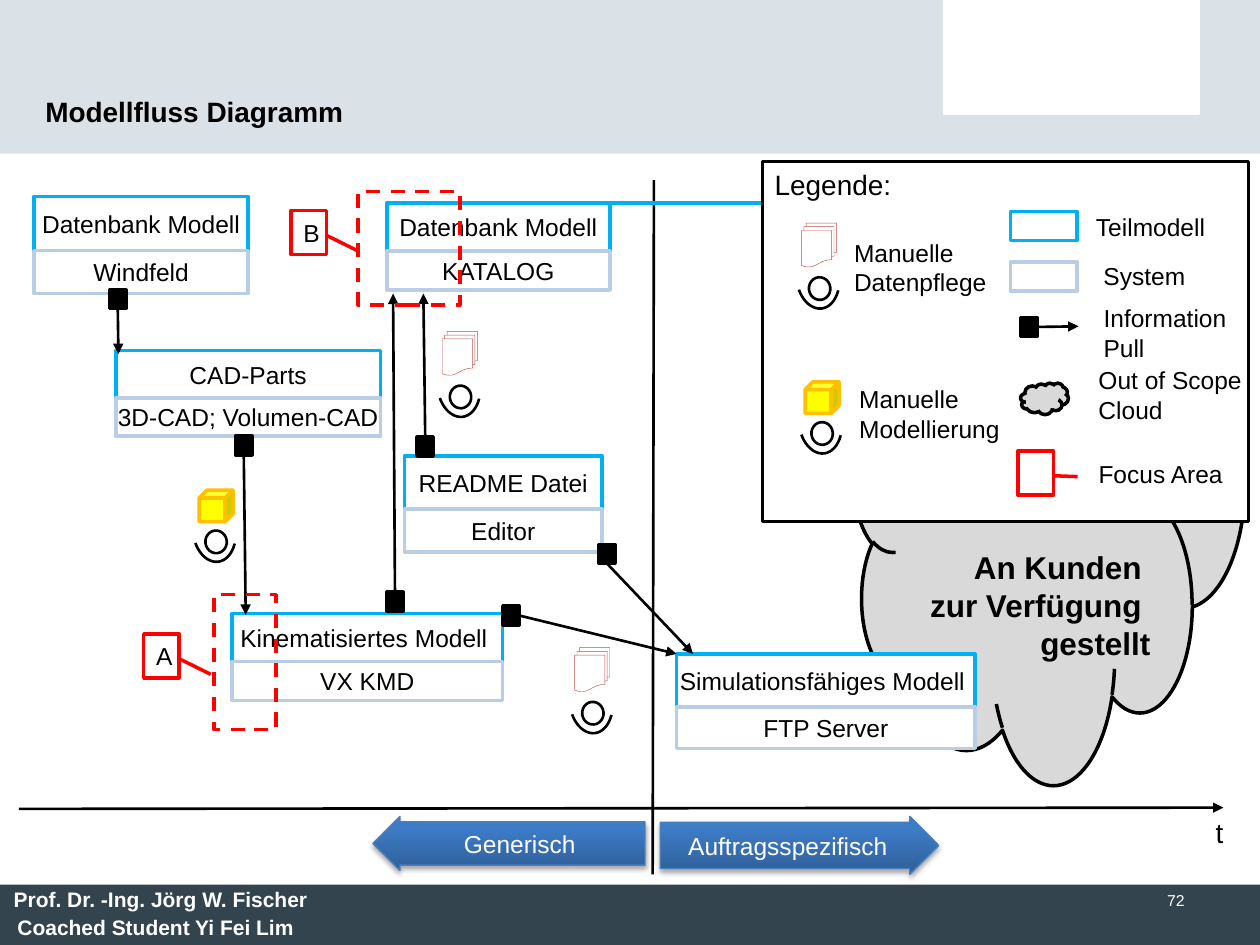
from lxml.etree import SubElement
from pptx import Presentation
from pptx.dml.color import RGBColor
from pptx.enum.dml import MSO_LINE
from pptx.enum.shapes import MSO_CONNECTOR, MSO_SHAPE as Form
from pptx.enum.text import MSO_ANCHOR as Anchor, MSO_AUTO_SIZE as AutoSize, PP_ALIGN as Align
from pptx.oxml.ns import qn
from pptx.util import Inches, Pt

BLACK, WHITE, GREY, RED = "000000", "FFFFFF", "D9D9D9", "FF0000"
MODEL_BLUE, SYSTEM_BLUE = "00B0F0", "B9CDE5"
TOP, BOTTOM, RIGHT = 0, 2, 3


def rgb(value):
    """Turn a hex string into a colour."""
    return RGBColor.from_string(value)


def write(shape, text, size=14, color=BLACK, bold=False, align=Align.LEFT, anchor=Anchor.MIDDLE, wrap=False):
    """Set and format the text of a shape."""
    frame = shape.text_frame
    frame.text = text
    frame.word_wrap = wrap
    frame.vertical_anchor = anchor
    for paragraph in frame.paragraphs:
        paragraph.alignment = align
        for run in paragraph.runs:
            run.font.name, run.font.size, run.font.bold = "Arial", Pt(size), bold
            run.font.color.rgb = rgb(color)


def draw(slide, form, x, y, w, h, fill=None, line=None, weight=2):
    """Add a flat preset shape."""
    shape = slide.shapes.add_shape(form, Inches(x), Inches(y), Inches(w), Inches(h))
    shape.shadow.inherit = False
    if fill:
        shape.fill.solid()
        shape.fill.fore_color.rgb = rgb(fill)
    else:
        shape.fill.background()
    if line:
        shape.line.color.rgb = rgb(line)
        shape.line.width = Pt(weight)
    else:
        shape.line.fill.background()
    return shape


def label(slide, x, y, w, h, text, **style):
    """Add a text box that fits its text."""
    box = slide.shapes.add_textbox(Inches(x), Inches(y), Inches(w), Inches(h))
    write(box, text, anchor=Anchor.TOP, **style)
    box.text_frame.auto_size = AutoSize.SHAPE_TO_FIT_TEXT
    return box


def connect(slide, start, end, color=BLACK, weight=1.5, arrow=True):
    """Add a straight line, with an arrowhead at its end if wanted."""
    points = [Inches(value) for value in (*start, *end)]
    connector = slide.shapes.add_connector(MSO_CONNECTOR.STRAIGHT, *points)
    connector.line.color.rgb = rgb(color)
    connector.line.width = Pt(weight)
    if arrow:
        SubElement(connector.line._get_or_add_ln(), qn("a:tailEnd"), type="triangle")
    SubElement(connector.element.spPr, qn("a:effectLst"))
    return connector


def model(slide, x, y, w, name_h, system_h, name, system):
    """Stack a partial model on the system that holds it."""
    rows = ((y, name_h, MODEL_BLUE, name), (y + name_h, system_h, SYSTEM_BLUE, system))
    for top, height, border, text in rows:
        write(draw(slide, Form.RECTANGLE, x, top, w, height, WHITE, border), text, align=Align.CENTER)


def pull(slide, x, y, side, end):
    """Draw an information pull from a black square to an end point."""
    square = draw(slide, Form.RECTANGLE, x, y, 0.13, 0.15, BLACK, BLACK)
    connect(slide, (x, y), end).begin_connect(square, side)


def worker(slide, x, y, modelling=False):
    """Draw a person seen from above with a cube or a pile of documents."""
    head = draw(slide, Form.OVAL, x + 0.1, y + 0.25, 0.17, 0.18, WHITE, BLACK, 1.5)
    arms = draw(slide, Form.ARC, x, y, 0.34, 0.5, None, BLACK, 1.5)
    arms.adjustments[0], arms.adjustments[1] = 131.96, 200.25
    head.rotation = arms.rotation = 172.8
    if modelling:
        draw(slide, Form.CUBE, x + 0.05, y - 0.07, 0.27, 0.25, "FFFF00", "FFC000")
    else:
        draw(slide, Form.FLOWCHART_MULTIDOCUMENT, x + 0.04, y - 0.18, 0.28, 0.35, WHITE, "C0504D", 0.25)


def focus(slide, x, y, letter="", tip=(0.92, 1.9)):
    """Draw a focus area marker with its leader line."""
    marker = draw(slide, Form.LINE_CALLOUT_1, x, y, 0.28, 0.35, WHITE, RED)
    for index, value in enumerate((0.56, 0.99, *tip)):
        marker.adjustments[index] = value
    if letter:
        write(marker, letter)


def phase(slide, form, x, y, w, h, text):
    """Draw a shaded block arrow for one phase."""
    arrow = draw(slide, form, x, y, w, h, None, "4B7EBC", 0.75)
    arrow.adjustments[0], arrow.adjustments[1] = 0.8, 0.5
    arrow.fill.gradient()
    arrow.fill.gradient_angle = 90
    for stop, color, position in zip(arrow.fill.gradient_stops, ("2F5F99", "3D7CC7"), (0, 0.8)):
        stop.color.rgb = rgb(color)
        stop.position = position
    effects = arrow.element.spPr.find(qn("a:effectLst"))
    shadow = SubElement(effects, qn("a:outerShdw"), blurRad=str(Pt(3.1)), dist=str(Pt(1.8)),
                        dir="5400000", rotWithShape="0")
    tint = SubElement(shadow, qn("a:srgbClr"), val=BLACK)
    SubElement(tint, qn("a:alpha"), val="35000")
    write(arrow, text, color=WHITE, align=Align.CENTER)


def header(slide, x, y, w, h):
    """Draw the top band with the title on it."""
    draw(slide, Form.RECTANGLE, x, y, w, h, "DAE2E7")
    draw(slide, Form.RECTANGLE, x + 7.5, y + 0.01, 2.01, 0.89, WHITE, WHITE)
    title = slide.shapes.title
    title.left, title.top, title.width, title.height = map(Inches, (x + 0.26, y + 0.44, 6.07, 0.63))
    write(title, "Modellfluss Diagramm", size=16, bold=True, anchor=Anchor.BOTTOM, wrap=True)
    title.text_frame.auto_size = AutoSize.NONE
    slide.shapes.element.append(title.element)


def footer(slide, x, y, w, h):
    """Draw the bottom band with authors and page number."""
    draw(slide, Form.RECTANGLE, x, y, w, h, "33444E")
    author = dict(size=12, color=WHITE, bold=True)
    label(slide, x + 0.01, y - 0.03, 2.68, 0.3, "Prof. Dr. -Ing. Jörg W. Fischer", **author)
    label(slide, x + 0.04, y + 0.19, 2.45, 0.3, "Coached Student Yi Fei Lim", **author)
    label(slide, x + 7.17, y, 2.33, h, "72", size=9, color=WHITE, align=Align.RIGHT, wrap=True)


def legend(slide, x, y, w, h):
    """Draw the legend and explain each symbol."""
    panel = draw(slide, Form.RECTANGLE, x, y, w, h, WHITE, BLACK, 1.5)
    write(panel, "Legende:", size=16, anchor=Anchor.TOP)
    for dy, border in ((0.4, MODEL_BLUE), (0.8, SYSTEM_BLUE)):
        draw(slide, Form.RECTANGLE, x + 1.97, y + dy, 0.53, 0.23, WHITE, border)
    pull(slide, x + 2.05, y + 1.24, RIGHT, (x + 2.51, y + 1.31))
    draw(slide, Form.CLOUD, x + 2.05, y + 1.76, 0.38, 0.25, GREY, BLACK)
    focus(slide, x + 2.03, y + 2.3, tip=(0.58, 1.69))
    worker(slide, x + 0.27, y + 0.67)
    worker(slide, x + 0.29, y + 1.82, modelling=True)
    entries = (
        (2.55, 0.35, 1.07, 0.34, "Teilmodell"),
        (2.61, 0.74, 0.86, 0.34, "System"),
        (2.61, 1.08, 1.18, 0.57, "Information\vPull"),
        (2.57, 1.57, 1.34, 0.57, "Out of Scope\vCloud"),
        (2.57, 2.31, 1.19, 0.34, "Focus Area"),
        (0.63, 0.56, 1.26, 0.57, "Manuelle\vDatenpflege"),
        (0.67, 1.72, 1.32, 0.57, "Manuelle\vModellierung"),
    )
    for dx, dy, width, height, text in entries:
        label(slide, x + dx, y + dy, width, height, text)


def timeline(slide, x, y, w):
    """Draw the time axis, the phase divider and both phases."""
    connect(slide, (x, y), (x + w, y - 0.01))
    label(slide, x + 9.4, y, 0.27, 0.37, "t", size=16)
    connect(slide, (x + 5.04, y - 4.99), (x + 5.03, y + 0.52), arrow=False)
    phase(slide, Form.LEFT_ARROW, x + 2.81, y + 0.06, 2.16, 0.43, "Generisch")
    phase(slide, Form.RIGHT_ARROW, x + 5.09, y + 0.06, 2.21, 0.46, "Auftragsspezifisch")


def model_flow(slide, x, y):
    """Draw the models, their pulls, workers and focus areas."""
    cloud = draw(slide, Form.CLOUD, x + 6.5, y, 3.11, 4.66, GREY, BLACK)
    write(cloud, "An Kunden \vzur Verfügung \vgestellt", size=18, bold=True, align=Align.RIGHT, anchor=Anchor.BOTTOM)
    models = (
        (0, 0, 1.7, 0.43, 0.34, "Datenbank Modell", "Windfeld"),
        (0.65, 1.22, 2.1, 0.38, 0.3, "CAD-Parts", "3D-CAD; Volumen-CAD"),
        (1.57, 3.31, 2.15, 0.38, 0.31, "Kinematisiertes Modell ", "VX KMD"),
        (2.94, 2.06, 1.57, 0.42, 0.34, "README Datei", "Editor"),
        (2.8, 0.05, 1.77, 0.38, 0.31, "Datenbank Modell", "KATALOG"),
        (5.1, 3.63, 2.37, 0.42, 0.33, "Simulationsfähiges Modell ", "FTP Server"),
    )
    for dx, dy, *sizes_and_names in models:
        model(slide, x + dx, y + dy, *sizes_and_names)
    connect(slide, (x + 4.57, y + 0.05), (x + 7.57, y + 0.05), MODEL_BLUE, 2.25, arrow=False)
    pulls = (
        (0.6, 0.74, BOTTOM, 0.67, 1.25),
        (1.6, 1.9, BOTTOM, 1.68, 3.32),
        (3.72, 3.25, RIGHT, 5.1, 3.63),
        (4.48, 2.76, BOTTOM, 5.23, 3.63),
        (2.8, 3.14, TOP, 2.85, 0.77),
        (3.04, 1.91, TOP, 3.09, 0.77),
    )
    for dx, dy, side, end_x, end_y in pulls:
        pull(slide, x + dx, y + dy, side, (x + end_x, y + end_y))
    for dx, dy, w, h in ((1.43, 3.16, 0.49, 1.07), (2.57, -0.04, 0.81, 0.9)):
        draw(slide, Form.RECTANGLE, x + dx, y + dy, w, h, None, RED).line.dash_style = MSO_LINE.DASH
    focus(slide, x + 2.04, y + 0.11, "B")
    focus(slide, x + 0.87, y + 3.47, "A")
    worker(slide, x + 1.26, y + 2.4, modelling=True)
    worker(slide, x + 3.2, y + 1.25)
    worker(slide, x + 4.25, y + 3.76)


def main():
    """Build and save the slide."""
    deck = Presentation()
    deck.slide_width, deck.slide_height = Inches(10), Inches(7.5)
    slide = deck.slides.add_slide(deck.slide_layouts[5])
    header(slide, 0, 0, 10, 1.22)
    footer(slide, 0, 7.02, 10, 0.48)
    timeline(slide, 0.15, 6.42, 9.56)
    model_flow(slide, 0.27, 1.56)
    legend(slide, 6.05, 1.28, 3.86, 2.86)
    deck.save("out.pptx")


if __name__ == "__main__":
    main()
